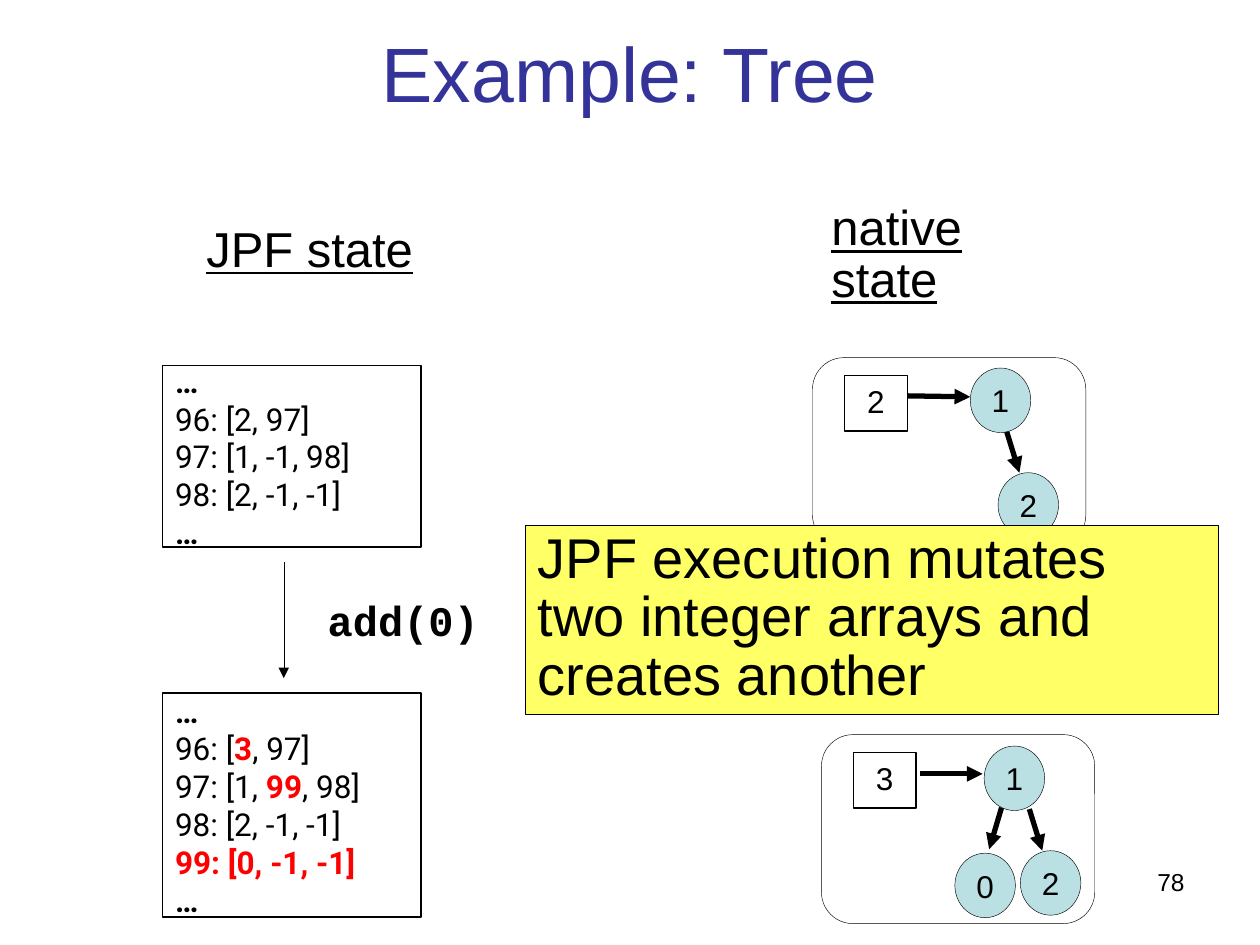
from lxml.etree import SubElement
from pptx import Presentation
from pptx.dml.color import RGBColor
from pptx.enum.shapes import MSO_CONNECTOR, MSO_SHAPE
from pptx.enum.text import MSO_ANCHOR, PP_ALIGN
from pptx.oxml.ns import qn
from pptx.util import Cm, Pt

HUES = {"black": "000000", "title": "333399", "red": "FF0000",
        "node": "BBE0E3", "note": "FFFF66"}
MID, TOP = MSO_ANCHOR.MIDDLE, MSO_ANCHOR.TOP
LEFT, CENTER, RIGHT = PP_ALIGN.LEFT, PP_ALIGN.CENTER, PP_ALIGN.RIGHT


def write(shape, text, size=18, face="Arial", hue="black", bold=False,
          under=False, align=LEFT, anchor=TOP, wrap=False, lead=1.0):
    """Fill a shape with text; parts between asterisks are bold and red."""
    frame = shape.text_frame
    frame.word_wrap, frame.vertical_anchor = wrap, anchor
    for i, line in enumerate(text.split("\n")):
        para = frame.add_paragraph() if i else frame.paragraphs[0]
        para.alignment, para.line_spacing = align, lead
        para.space_before = Pt(0)
        for j, part in enumerate(line.split("*")):
            if not part:
                continue
            run = para.add_run()
            run.text = part
            font = run.font
            font.size, font.name, font.underline = Pt(size), face, under
            mark = j % 2 == 1
            font.bold = bold or mark
            tint = "red" if mark and part != "…" else hue
            font.color.rgb = RGBColor.from_string(HUES[tint])


def draw(kind, place, fill=None, width=0.75):
    """Add an outlined shape at left, top, width, height in cm."""
    shape = slide.shapes.add_shape(kind, *map(Cm, place))
    shape.shadow.inherit = False
    if fill:
        shape.fill.solid()
        shape.fill.fore_color.rgb = RGBColor.from_string(HUES[fill])
    else:
        shape.fill.background()
    shape.line.color.rgb = RGBColor.from_string(HUES["black"])
    shape.line.width = Pt(width)
    return shape


deck = Presentation()
deck.slide_width, deck.slide_height = Cm(25.4), Cm(19.05)
slide = deck.slides.add_slide(deck.slide_layouts[5])

# Title
title = slide.shapes.title
title.left, title.top, title.width, title.height = map(Cm, (0, 0, 25.4, 3.18))
write(title, "Example: Tree", size=44, hue="title", align=CENTER,
      anchor=MID, wrap=True, lead=0.87)

# Headings, call label and page number
head = dict(size=28, under=True, lead=0.87)
call = dict(size=24, face="Courier New", bold=True, align=CENTER)
page = dict(size=14, align=RIGHT, wrap=True)
for text, place, form in [
    ("JPF state", (3.91, 4.45, 4.67, 1.3), head),
    ("native state", (16.51, 4.01, 5.54, 1.3), head),
    ("add(0)", (6.35, 11.86, 3.56, 1.27), call),
    ("78", (18.21, 17.35, 5.92, 1.32), page),
]:
    write(slide.shapes.add_textbox(*map(Cm, place)), text, **form)

# Heap arrays before and after the call
for top, tall, text in [
    (7.37, 3.66, "*…*\n96: [2, 97]\n97: [1, -1, 98]\n98: [2, -1, -1]\n*…*"),
    (13.97, 4.52, "*…*\n96: [*3*, 97]\n97: [1, *99*, 98]\n98: [2, -1, -1]\n"
                  "*99: [0, -1, -1]*\n*…*"),
]:
    heap = draw(MSO_SHAPE.RECTANGLE, (3.28, top, 5.21, tall))
    write(heap, text, face="Roboto", anchor=MID, wrap=True)

# Arrows: the call, then the links of each tree
for ends, width in [
    ((5.72, 11.33, 5.72, 13.67), 0.25),
    ((18.29, 7.98, 19.56, 8), 3),
    ((20.29, 8.69, 20.55, 9.53), 3),
    ((18.54, 15.6, 19.81, 15.6), 3),
    ((20.19, 16.28, 19.94, 17.12), 3),
    ((20.75, 16.31, 21.01, 17.15), 3),
]:
    link = slide.shapes.add_connector(MSO_CONNECTOR.STRAIGHT, *map(Cm, ends))
    link.line.color.rgb = RGBColor.from_string(HUES["black"])
    link.line.width = Pt(width)
    SubElement(link.line._get_or_add_ln(), qn("a:tailEnd"), type="triangle")
    SubElement(link._element.spPr, qn("a:effectLst"))

# Trees: frame, size box and nodes
for left, top, count, nodes in [
    (16.38, 7.21, "2", [("1", 19.56, 7.42), ("2", 20.12, 9.53)]),
    (16.56, 14.81, "3", [("1", 19.84, 15.04), ("0", 19.25, 17.2),
                         ("2", 20.57, 17.15)]),
]:
    draw(MSO_SHAPE.ROUNDED_RECTANGLE, (left, top, 5.51, 3.81), width=0.25)
    size = draw(MSO_SHAPE.RECTANGLE, (left + 0.64, top + 0.36, 1.27, 1.12))
    write(size, count, align=CENTER, anchor=MID, lead=0.87)
    for text, x, y in nodes:
        node = draw(MSO_SHAPE.OVAL, (x, y, 1.22, 1.3), "node", 0.25)
        write(node, text, align=CENTER, anchor=MID)

# Note over the trees
note = draw(MSO_SHAPE.RECTANGLE, (10.59, 10.59, 13.97, 3.81), "note")
write(note, "JPF execution mutates two integer arrays and creates another",
      size=32, wrap=True, lead=0.87)

deck.save("out.pptx")
